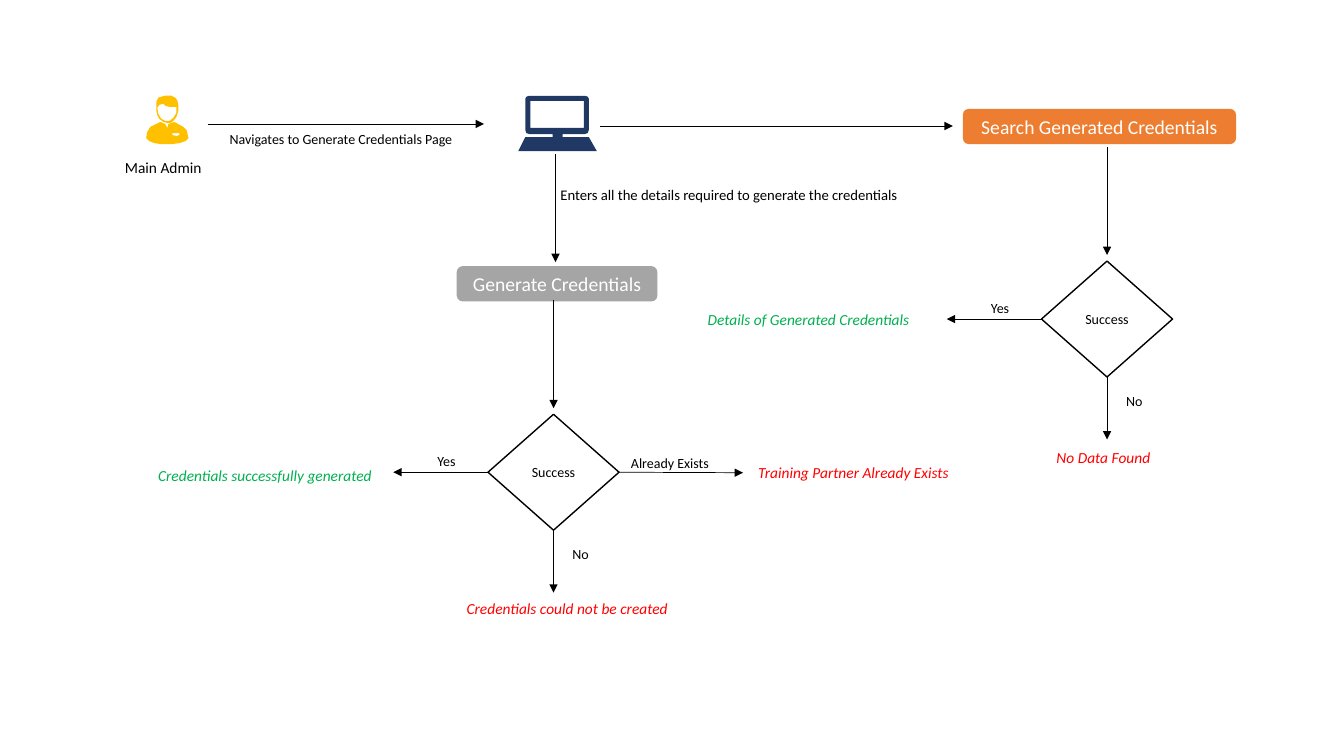
from lxml import etree
from pptx import Presentation
from pptx.dml.color import RGBColor
from pptx.enum import shapes as sh, text as tx
from pptx.oxml import ns
from pptx.util import Inches, Pt

BLACK = RGBColor(0, 0, 0)
WHITE = RGBColor(255, 255, 255)
GOLD = RGBColor(0xFF, 0xC0, 0x00)
NAVY = RGBColor(0x20, 0x38, 0x64)
GRAY = RGBColor(0xA5, 0xA5, 0xA5)
ORANGE = RGBColor(0xED, 0x7D, 0x31)
GREEN = RGBColor(0x00, 0xB0, 0x50)
RED = RGBColor(0xFF, 0, 0)

HEAD = [
    [(1.6, 0.96), (1.64, 0.95), (1.7, 0.95), (1.74, 0.97), (1.76, 1),
     (1.77, 1.05), (1.77, 1.1), (1.75, 1.16), (1.72, 1.2), (1.69, 1.22),
     (1.66, 1.22), (1.62, 1.21), (1.58, 1.18), (1.56, 1.14), (1.55, 1.1),
     (1.55, 1.01), (1.57, 0.97)],
    [(1.62, 1.03), (1.58, 1.04), (1.56, 1.07), (1.57, 1.13), (1.6, 1.18),
     (1.64, 1.2), (1.68, 1.2), (1.72, 1.17), (1.75, 1.12), (1.75, 1.06),
     (1.68, 1.06), (1.64, 1.05)],
]
BODY = [
    [(1.59, 1.21), (1.64, 1.23), (1.66, 1.27), (1.67, 1.23), (1.73, 1.21),
     (1.82, 1.26), (1.85, 1.29), (1.87, 1.37), (1.84, 1.4), (1.78, 1.42),
     (1.7, 1.43), (1.6, 1.43), (1.53, 1.42), (1.48, 1.4), (1.45, 1.37),
     (1.46, 1.31), (1.49, 1.26)],
    [(1.71, 1.32), (1.71, 1.34), (1.75, 1.35), (1.78, 1.34), (1.78, 1.32)],
]
LAPTOP = [
    [(5.21, 1.36), (5.14, 1.5), (5.92, 1.5), (5.84, 1.36), (5.58, 1.36),
     (5.58, 1.33), (5.8, 1.33), (5.83, 1.32), (5.84, 1.29), (5.84, 0.98),
     (5.83, 0.96), (5.8, 0.95), (5.25, 0.95), (5.22, 0.96), (5.21, 0.98),
     (5.21, 1.29), (5.22, 1.32), (5.25, 1.33), (5.48, 1.33), (5.48, 1.36)],
    [(5.26, 1), (5.79, 1), (5.79, 1.27), (5.26, 1.27)],
]


def write(frame, words, size=10, color=BLACK, italic=False, align=None, wrap=True):
    """Put one formatted line of text in a frame."""
    frame.word_wrap = wrap
    par = frame.paragraphs[0]
    par.alignment = align
    run = par.add_run()
    run.text = words
    font = run.font
    font.name = "Calibri"
    font.size = Pt(size)
    font.italic = italic
    font.color.rgb = color


def label(slide, words, x, y, w, h=0.27, **style):
    """Add a text box."""
    box = slide.shapes.add_textbox(Inches(x), Inches(y), Inches(w), Inches(h))
    write(box.text_frame, words, **style)


def result(slide, words, x, y, color, w=2.39):
    """Add an italic outcome."""
    label(slide, words, x, y, w, 0.29, size=11, color=color, italic=True)


def icon(slide, rings, color):
    """Draw a filled outline with its holes."""
    rings = [[(Inches(x), Inches(y)) for x, y in ring] for ring in rings]
    pen = slide.shapes.build_freeform(*rings[0][0])
    pen.add_line_segments(rings[0][1:])
    for ring in rings[1:]:
        pen.move_to(*ring[0])
        pen.add_line_segments(ring[1:])
    form = pen.convert_to_shape()
    form.shadow.inherit = False
    form.fill.solid()
    form.fill.fore_color.rgb = color
    form.line.fill.background()


def block(slide, kind, x, y, w, h, words, **style):
    """Add a preset shape with centred text."""
    form = slide.shapes.add_shape(kind, Inches(x), Inches(y), Inches(w), Inches(h))
    form.shadow.inherit = False
    frame = form.text_frame
    frame.vertical_anchor = tx.MSO_ANCHOR.MIDDLE
    write(frame, words, align=tx.PP_ALIGN.CENTER, **style)
    return form


def step(slide, words, x, y, w, color):
    """Add a filled process box."""
    form = block(slide, sh.MSO_SHAPE.ROUNDED_RECTANGLE, x, y, w, 0.35, words,
                 size=14, color=WHITE)
    form.fill.solid()
    form.fill.fore_color.rgb = color
    form.line.fill.background()


def arrow(slide, x1, y1, x2, y2, start=None, site=0):
    """Add an arrow, joined to a start shape if given."""
    line = slide.shapes.add_connector(
        sh.MSO_CONNECTOR.STRAIGHT, Inches(x1), Inches(y1), Inches(x2), Inches(y2))
    if start is not None:
        line.begin_connect(start, site)
    line.line.color.rgb = BLACK
    line.line.width = Pt(0.5)
    edge = line.line._get_or_add_ln()
    etree.SubElement(edge, ns.qn("a:tailEnd"), type="triangle")
    etree.SubElement(line._element.spPr, ns.qn("a:effectLst"))


def choice(slide, x, y):
    """Add a decision with its incoming, yes and no arrows."""
    h = 1.15
    mid, side, low = x + 0.65, y + h / 2, y + h
    arrow(slide, mid, y - 1.13, mid, y - 0.06)
    form = block(slide, sh.MSO_SHAPE.DIAMOND, x, y, 1.3, h, "Success", wrap=False)
    form.fill.background()
    form.line.color.rgb = BLACK
    form.line.width = Pt(1)
    arrow(slide, x, side, x - 0.94, side, form, 1)
    label(slide, "Yes", x - 0.6, y + 0.33, 0.39, wrap=False)
    arrow(slide, mid, low, mid, low + 0.62, form, 2)
    label(slide, "No", x + 0.74, y + 1.25, 0.37, wrap=False)
    return form


def main():
    """Build the credentials flow."""
    deck = Presentation()
    deck.slide_width, deck.slide_height = Inches(13.33), Inches(7.5)
    slide = deck.slides.add_slide(deck.slide_layouts[6])

    icon(slide, HEAD, GOLD)
    icon(slide, BODY, GOLD)
    label(slide, "Main Admin", 1.14, 1.52, 1.2, 0.29, size=11)
    arrow(slide, 2.06, 1.23, 4.8, 1.23)
    label(slide, "Navigates to Generate Credentials Page", 2.18, 1.25, 2.46, wrap=False)
    icon(slide, LAPTOP, NAVY)

    arrow(slide, 5.51, 1.53, 5.51, 2.6)
    label(slide, "Enters all the details required to generate the credentials",
          5.46, 1.79, 3.58, 0.28, size=10.5, wrap=False)
    step(slide, "Generate Credentials", 4.53, 2.64, 1.99, GRAY)
    made = choice(slide, 4.84, 4.11)
    result(slide, "Credentials could not be created", 4.53, 5.89, RED)
    result(slide, "Credentials successfully generated", 1.47, 4.57, GREEN)
    arrow(slide, 6.14, 4.69, 7.37, 4.69, made, 3)
    label(slide, "Already Exists", 6.16, 4.46, 0.99, wrap=False)
    result(slide, "Training Partner Already Exists", 7.42, 4.54, RED)

    arrow(slide, 5.95, 1.25, 9.45, 1.25)
    step(slide, "Search Generated Credentials", 9.55, 1.08, 2.71, ORANGE)
    choice(slide, 10.33, 2.59)
    result(slide, "Details of Generated Credentials", 6.92, 3.03, GREEN)
    result(slide, "No Data Found", 10.38, 4.4, RED, 1.19)
    deck.save("out.pptx")


if __name__ == "__main__":
    main()
